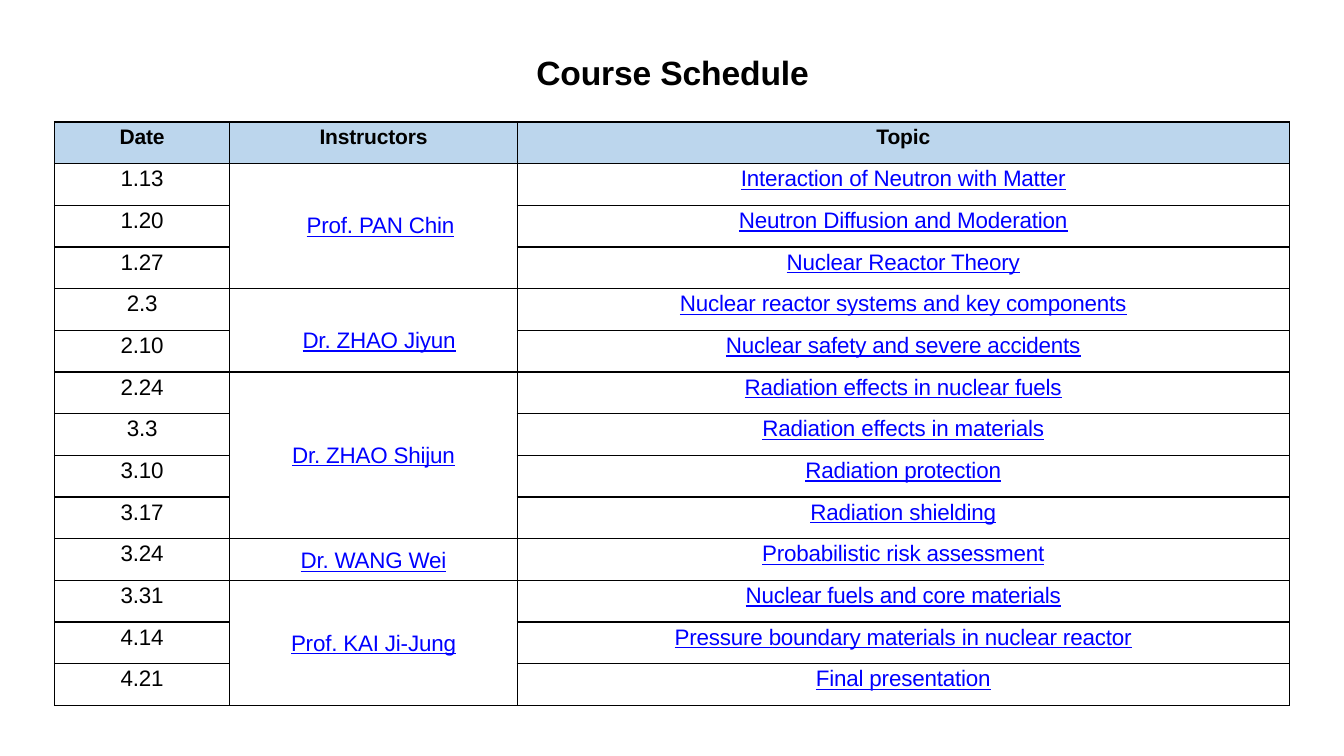
from lxml.etree import SubElement
from pptx import Presentation
from pptx.dml.color import RGBColor
from pptx.enum.text import MSO_ANCHOR, PP_ALIGN
from pptx.oxml.ns import qn
from pptx.util import Inches, Pt

COLORS = {"text": "000000", "link": "0000FF", "header": "BCD6ED", "border": "000000"}
COLUMNS = [1.74, 2.85, 7.66]
HEADERS = ["Date", "Instructors", "Topic"]
SCHEDULE = [
    ("Prof. PAN Chin", 0.14, 0, [
        ("1.13", "Interaction of Neutron with Matter"),
        ("1.20", "Neutron Diffusion and Moderation"),
        ("1.27", "Nuclear Reactor Theory")]),
    ("Dr. ZHAO Jiyun", 0.11, 0.21, [
        ("2.3", "Nuclear reactor systems and key components"),
        ("2.10", "Nuclear safety and severe accidents")]),
    ("Dr. ZHAO Shijun", 0, 0, [
        ("2.24", "Radiation effects in nuclear fuels"),
        ("3.3", "Radiation effects in materials"),
        ("3.10", "Radiation protection"),
        ("3.17", "Radiation shielding")]),
    ("Dr. WANG Wei", 0, 0.03, [
        ("3.24", "Probabilistic risk assessment")]),
    ("Prof. KAI Ji-Jung", 0, 0.01, [
        ("3.31", "Nuclear fuels and core materials"),
        ("4.14", "Pressure boundary materials in nuclear reactor"),
        ("4.21", "Final presentation")]),
]


def write(tf, text, size, color="text", bold=False):
    p = tf.paragraphs[0]
    p.alignment = PP_ALIGN.CENTER
    r = p.add_run()
    r.text = text
    r.font.name = "Arial"
    r.font.size = Pt(size)
    r.font.bold = bold
    r.font.underline = color == "link"
    r.font.color.rgb = RGBColor.from_string(COLORS[color])
    r.font._element.set("spc", "-10")
    return p


def fill_cell(cell, text, size, color="text", bold=False, top=0.03, left=0):
    cell.margin_left = Inches(left)
    cell.margin_right = cell.margin_bottom = 0
    cell.margin_top = Inches(top)
    write(cell.text_frame, text, size, color, bold)


prs = Presentation()
prs.slide_width, prs.slide_height = Inches(13.33), Inches(7.5)
s = prs.slides.add_slide(prs.slide_layouts[6])

sp = s.shapes.add_textbox(Inches(1.41), Inches(0.52), Inches(10.52), Inches(0.39))
tf = sp.text_frame
tf.word_wrap = True
tf.margin_left = tf.margin_right = tf.margin_bottom = 0
tf.margin_top = Inches(0.01)
p = write(tf, "Course Schedule", 24, bold=True)
p.line_spacing = Pt(27.4)

row_count = 1 + sum(len(sessions) for *_, sessions in SCHEDULE)
table = s.shapes.add_table(row_count, len(COLUMNS), Inches(0.54), Inches(1.21),
                           Inches(sum(COLUMNS)), Inches(5.79)).table
table.first_row = table.horz_banding = False
for column, width in zip(table.columns, COLUMNS):
    column.width = Inches(width)
for row in table.rows:
    row.height = Inches(5.79 / row_count)

for i, row in enumerate(table.rows):
    for cell in row.cells:
        tcPr = cell._tc.get_or_add_tcPr()
        for side in ("lnL", "lnR", "lnT", "lnB"):
            ln = SubElement(tcPr, qn(f"a:{side}"), w=str(Pt(1)))
            SubElement(SubElement(ln, qn("a:solidFill")), qn("a:srgbClr"), val=COLORS["border"])
        if i == 0:
            cell.fill.solid()
            cell.fill.fore_color.rgb = RGBColor.from_string(COLORS["header"])
        else:
            cell.fill.background()

for j, header in enumerate(HEADERS):
    fill_cell(table.cell(0, j), header, 15, bold=True, top=0.04)

first = 1
for instructor, left, top, sessions in SCHEDULE:
    for i, (date, topic) in enumerate(sessions, first):
        fill_cell(table.cell(i, 0), date, 16)
        fill_cell(table.cell(i, 2), topic, 16, "link")
    cell = table.cell(first, 1)
    if len(sessions) > 1:
        cell.merge(table.cell(first + len(sessions) - 1, 1))
    fill_cell(cell, instructor, 16, "link", top=top, left=left)
    cell.vertical_anchor = MSO_ANCHOR.MIDDLE
    first += len(sessions)

prs.save("out.pptx")
